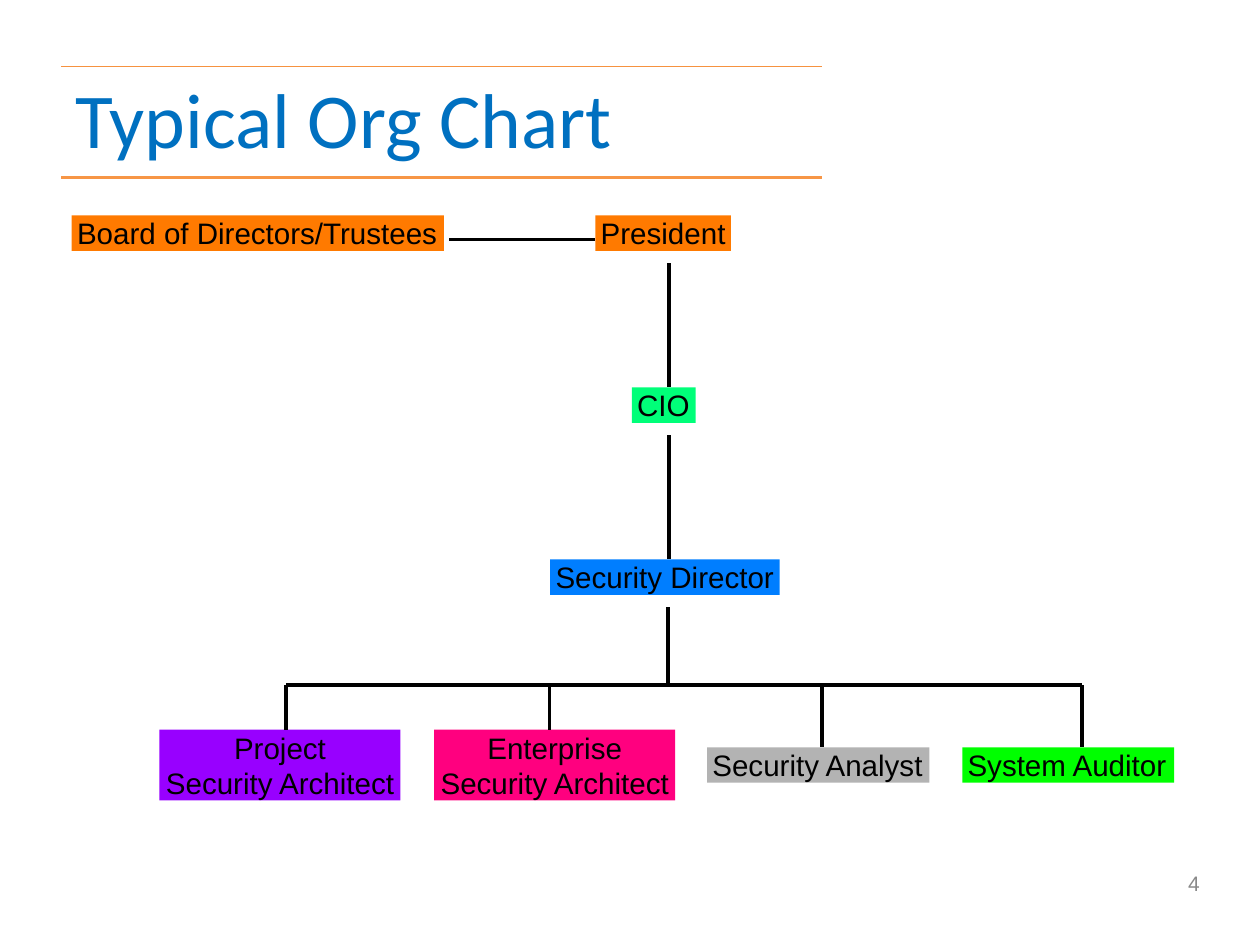
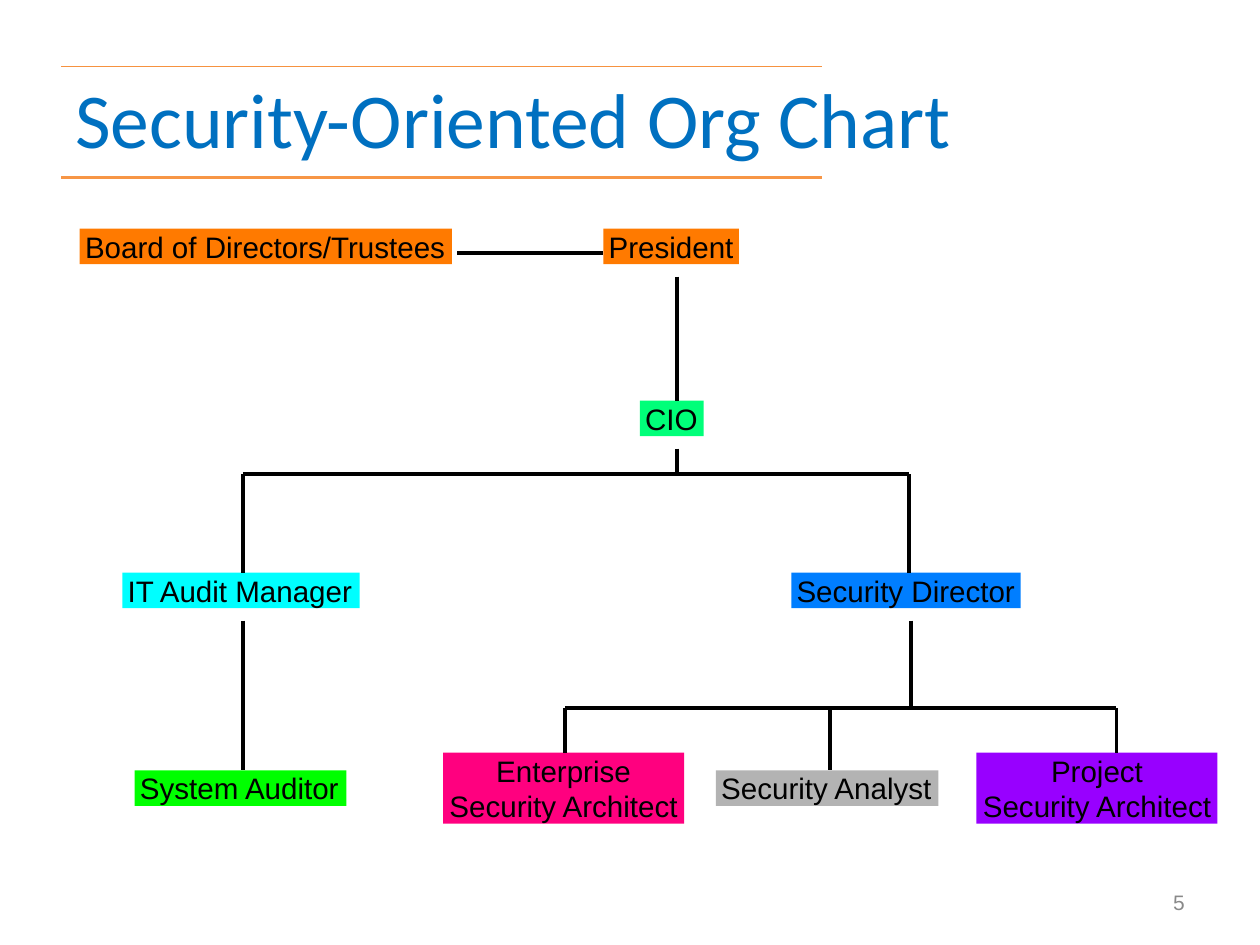
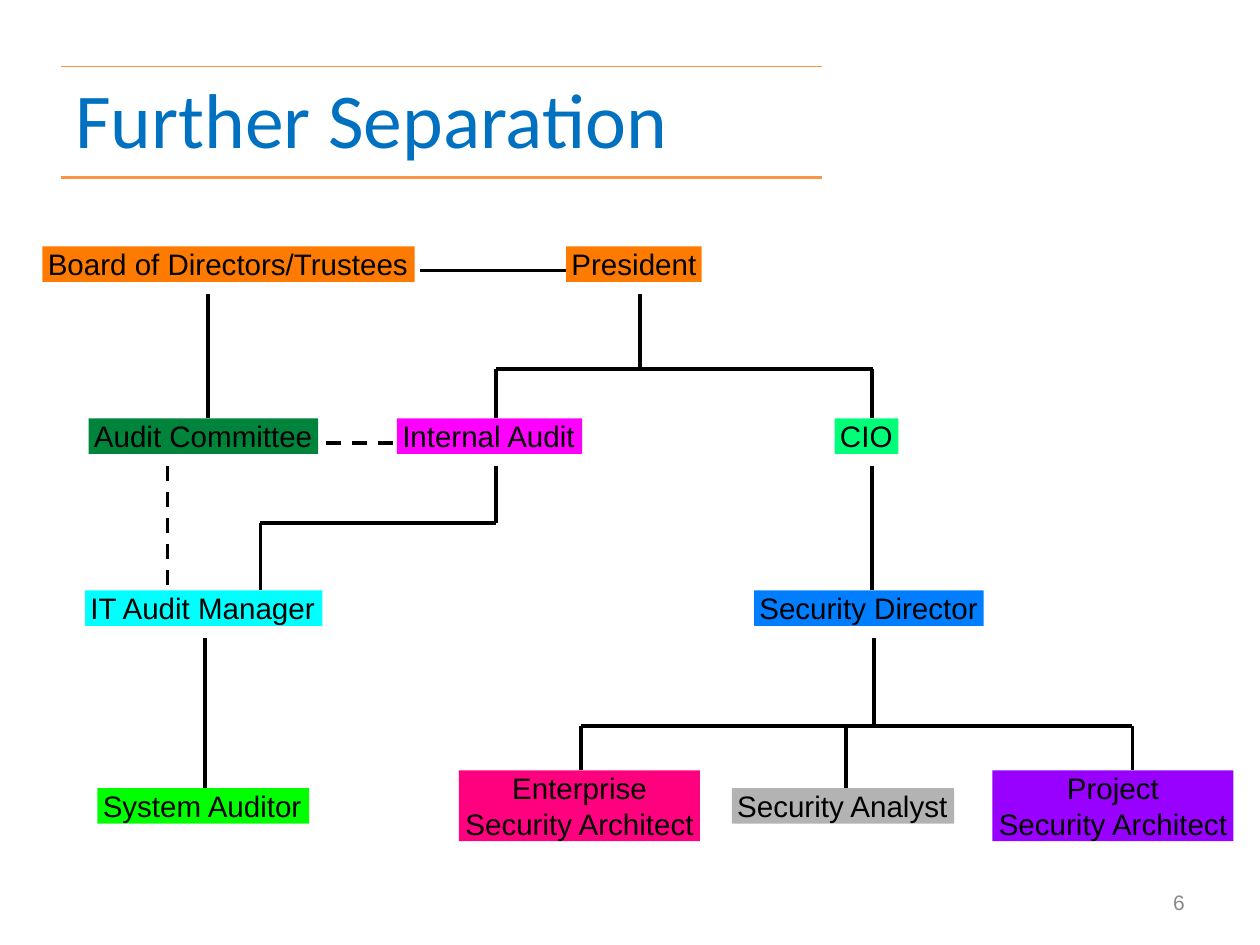
import pptx
import pptx.dml.color
import pptx.enum.dml
import pptx.enum.shapes
import pptx.enum.text
import pptx.oxml.ns
import pptx.util
from lxml import etree

ALIGN = pptx.enum.text.PP_ALIGN
ANCHOR = pptx.enum.text.MSO_ANCHOR

# The grid cell is a tenth of an inch; all places are columns and rows.
COLUMNS, ROWS = 142.2, 106.6
LINE_ROWS = 4      # rows per line of a role box
LEVEL = 19.4       # rows from one level of the chart to the next
HANG = 5.4         # rows from the top of a role to the line below it
BUS_RISE = 9       # rows from the middle of a team up to its bus line

COLORS = {
    "title": "0070C0", "thin_rule": "F69240", "rule": "F79646",
    "ink": "000000", "page": "898989",
    "leaders": "FF7A00", "cio": "00FF79", "director": "007EFF",
    "project": "9800FF", "enterprise": "FF007F", "analyst": "B3B3B3",
    "auditor": "00FF00", "audit_manager": "00FFFF",
    "committee": "00843C", "internal": "FF00FF",
}

# role: (label, colour, width in columns)
ROLES = {
    "board": ("Board of Directors/Trustees", "leaders", 42),
    "president": ("President", "leaders", 15.3),
    "cio": ("CIO", "cio", 7.2),
    "director": ("Security Director", "director", 25.9),
    "project": ("Project\nSecurity Architect", "project", 27.2),
    "enterprise": ("Enterprise\nSecurity Architect", "enterprise", 27.2),
    "analyst": ("Security Analyst", "analyst", 25.1),
    "auditor": ("System Auditor", "auditor", 23.9),
    "audit_manager": ("IT Audit Manager", "audit_manager", 26.8),
    "committee": ("Audit Committee", "committee", 25.9),
    "internal": ("Internal Audit", "internal", 20.9),
}


def cells(count):
    """Turn a number of grid cells into a length."""
    return pptx.util.Inches(count / 10)


def rgb(name):
    """Look up a colour by its name."""
    return pptx.dml.color.RGBColor.from_string(COLORS[name])


def write(frame, text, size=24, font="Arial", color="ink", align=ALIGN.LEFT,
          anchor=ANCHOR.TOP, insets=(0.6, 0, 0.6, 0), wrap=True):
    """Fill a text frame with one formatted paragraph."""
    frame.auto_size = pptx.enum.text.MSO_AUTO_SIZE.NONE
    frame.word_wrap = wrap
    frame.vertical_anchor = anchor
    (frame.margin_left, frame.margin_top,
     frame.margin_right, frame.margin_bottom) = map(cells, insets)
    paragraph = frame.paragraphs[0]
    paragraph.text = text
    paragraph.alignment = align
    for run in paragraph.runs:
        run.font.size = pptx.util.Pt(size)
        run.font.name = font
        run.font.color.rgb = rgb(color)


class OrgDeck:
    """Holds the presentation and the slide being drawn."""

    def __init__(self):
        """Start an empty deck of the right size."""
        self.deck = pptx.Presentation()
        self.deck.slide_width = cells(COLUMNS)
        self.deck.slide_height = cells(ROWS)
        self.slide = None

    def start(self, heading, page, page_left=101.9, page_top=98.9):
        """Add a slide with its heading, rules and page number."""
        self.slide = self.deck.slides.add_slide(self.deck.slide_layouts[5])
        self.line(6.9, 7.5, 92.8, 7.5, color="thin_rule", weight=0.75)
        self.line(6.9, 20, 92.8, 20, color="rule", weight=2)
        title = self.slide.shapes.title
        title.left, title.top, title.width, title.height = map(
            cells, (7.1, 4.3, 128, 17.8))
        write(title.text_frame, heading, size=63, font="Calibri",
              color="title", anchor=ANCHOR.MIDDLE, insets=(1.4, 0.7, 2.1, 0.7))
        number = self.slide.shapes.add_textbox(
            *map(cells, (page_left, page_top, 33.2, 5.7)))
        write(number.text_frame, str(page), size=17, color="page",
              align=ALIGN.RIGHT, anchor=ANCHOR.MIDDLE,
              insets=(1.4, 0.7, 1.4, 0.7))

    def line(self, x1, y1, x2, y2, color="ink", weight=3, dashed=False):
        """Draw a straight line between two grid points."""
        link = self.slide.shapes.add_connector(
            pptx.enum.shapes.MSO_CONNECTOR.STRAIGHT,
            *map(cells, (x1, y1, x2, y2)))
        link.line.color.rgb = rgb(color)
        link.line.width = pptx.util.Pt(weight)
        if dashed:
            link.line.dash_style = pptx.enum.dml.MSO_LINE.DASH
        etree.SubElement(link._element.spPr,
                         pptx.oxml.ns.qn("a:effectLst"))

    def role(self, key, left, top):
        """Draw the box of one role."""
        label, color, width = ROLES[key]
        lines = label.count("\n") + 1
        box = self.slide.shapes.add_shape(
            pptx.enum.shapes.MSO_SHAPE.RECTANGLE,
            *map(cells, (left, top, width, lines * LINE_ROWS)))
        box.shadow.inherit = False
        box.fill.solid()
        box.fill.fore_color.rgb = rgb(color)
        box.line.fill.background()
        write(box.text_frame, label, wrap=False,
              align=ALIGN.CENTER if lines > 1 else ALIGN.LEFT)

    def below(self, x, role_top, end, dashed=False):
        """Draw the line that leaves a role downwards."""
        self.line(x, role_top + HANG, x, end, dashed=dashed)

    def leaders(self, left, top):
        """Draw the board, the president and the link between them."""
        self.role("board", left, top)
        self.role("president", left + 59.1, top)
        self.line(left + 42.6, top + 2.7, left + 59.1, top + 2.7)

    def team(self, stem, boss_top, middle, members):
        """Draw (role, left, drop) members on a bus below their boss."""
        bus = middle - BUS_RISE
        self.below(stem, boss_top, bus)
        self.line(members[0][2], bus, members[-1][2], bus)
        for key, left, drop in members:
            lines = ROLES[key][0].count("\n") + 1
            top = middle - lines * LINE_ROWS / 2
            self.role(key, left, top)
            self.line(drop, bus, drop, top)

    def security_team(self, stem, boss_top, middle, left):
        """Draw the three security roles that report to the director."""
        self.team(stem, boss_top, middle, [
            ("enterprise", left, left + 13.8),
            ("analyst", left + 30.8, left + 43.7),
            ("project", left + 60.2, left + 76)])


def levels(top):
    """Give the tops of the three upper levels of a chart."""
    return [top + LEVEL * step for step in range(3)]


def typical(org):
    """Draw the chart with one security branch."""
    org.start("Typical Org Chart", 4, page_left=103.6, page_top=96.8)
    first, second, third = levels(24.3)
    org.leaders(8.1, first)
    org.role("cio", 71.3, second)
    org.role("director", 62.1, third)
    org.below(75.5, first, second)
    org.below(75.5, second, third)
    org.team(75.4, third, 86.3, [
        ("project", 18, 32.3), ("enterprise", 49, 62),
        ("analyst", 79.8, 92.8), ("auditor", 108.6, 122.1)])


def security_oriented(org):
    """Draw the chart with audit and security under the CIO."""
    org.start("Security-Oriented Org Chart", 5)
    first, second, third = levels(25.8)
    fork, middle = 53.5, 88.9
    org.leaders(9, first)
    org.role("cio", 72.2, second)
    org.role("audit_manager", 13.8, third)
    org.role("director", 89.3, third)
    org.role("auditor", 15.2, middle - 2)
    org.below(76.4, first, second)
    org.below(76.4, second, fork)
    org.line(27.4, fork, 102.6, fork)
    for branch in (27.4, 102.6):
        org.line(branch, fork, branch, third)
    org.below(27.4, third, middle - 2)
    org.security_team(102.8, third, middle, 50)


def separated(org):
    """Draw the chart with an audit branch apart from the CIO."""
    org.start("Further Separation", 6)
    first, second, third = levels(27.8)
    fork, bend, middle = 41.6, 59, 90.9
    org.leaders(4.8, first)
    org.role("committee", 10, second)
    org.role("internal", 44.8, second)
    org.role("cio", 94.2, second)
    org.role("audit_manager", 9.6, third)
    org.role("director", 85.1, third)
    org.role("auditor", 11, middle - 2)
    org.below(23.5, first, second)
    org.below(72.2, first, fork)
    org.line(56, fork, 98.5, fork)
    for branch in (56, 98.4):
        org.line(branch, fork, branch, second)
    org.line(36.8, second + 2.8, 44.7, second + 2.8, dashed=True)
    org.below(18.9, second, third, dashed=True)
    org.below(56, second, bend)
    org.line(29.4, bend, 56, bend)
    org.line(29.4, bend, 29.4, third)
    org.below(98.4, second, third)
    org.below(23.1, third, middle - 2)
    org.security_team(98.6, third, middle, 51.8)


charts = OrgDeck()
for draw in (typical, security_oriented, separated):
    draw(charts)
charts.deck.save("out.pptx")
